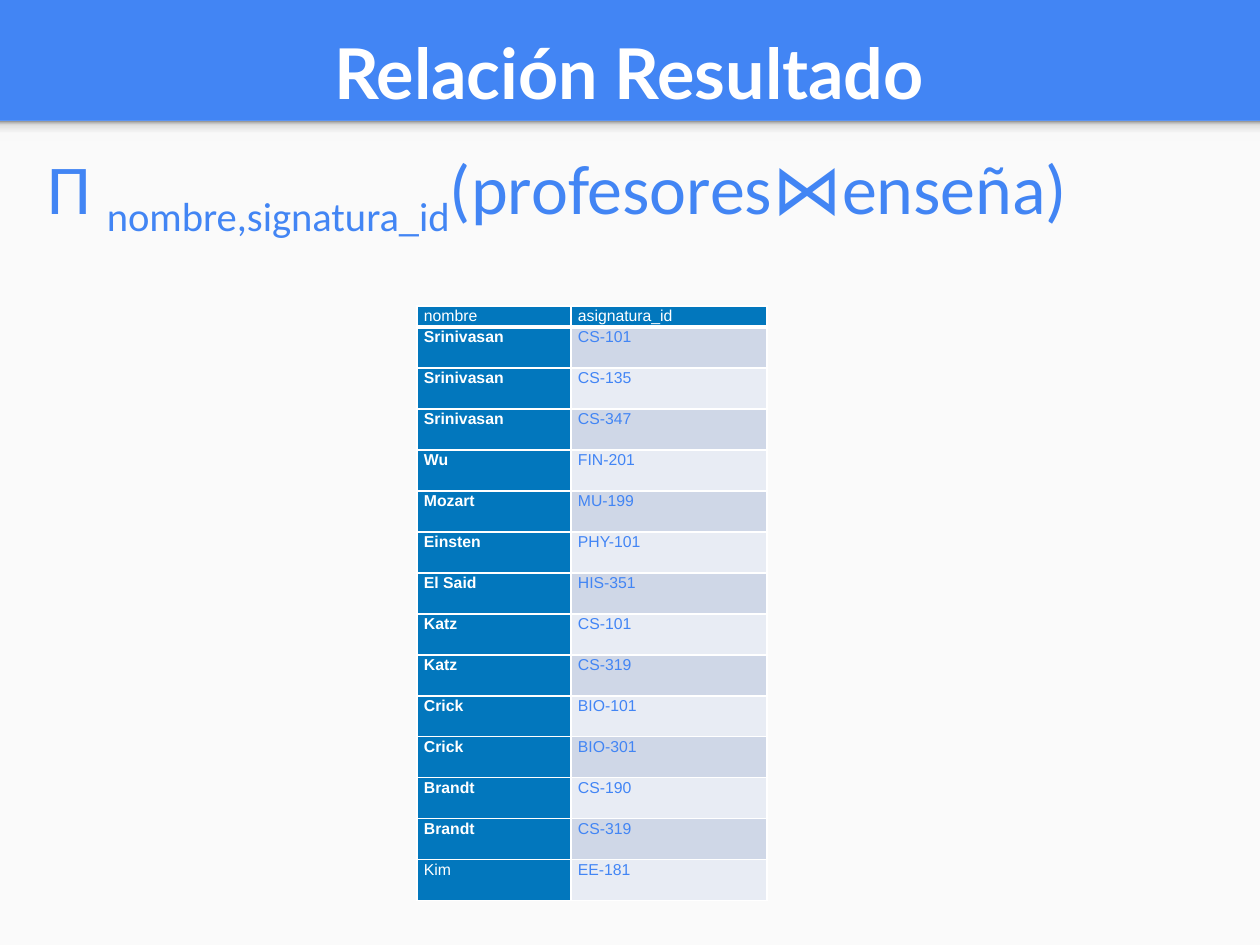
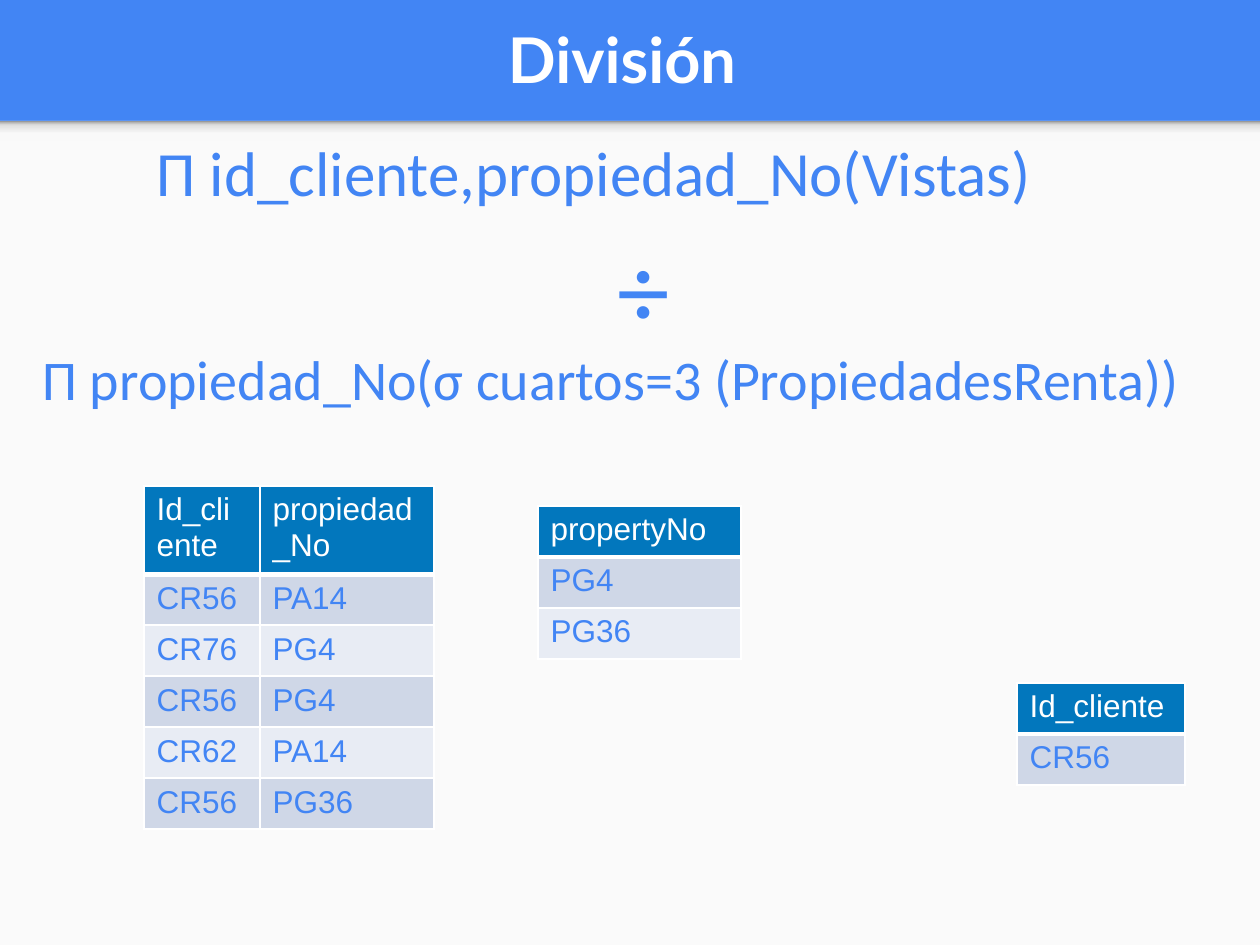
import pptx
import pptx.dml.color
import pptx.enum.shapes
import pptx.enum.text
import pptx.oxml
import pptx.oxml.ns
import pptx.util

PX = 914400 / 126
BLUE, DARK_BLUE, WHITE, PAPER = "4285F4", "0277BD", "FFFFFF", "FAFAFA"
STRIPES = ("CFD7E7", "E8ECF4")
SHADE_STOPS = ((0, "F9F9F9"), (36, "F9F9F9"), (80, "DEDEDE"), (100, "999999"))
DRAWING_NS = pptx.oxml.ns.nsdecls("a")
ANCHOR = pptx.enum.text.MSO_ANCHOR
ALIGN = pptx.enum.text.PP_ALIGN

COURSES = [
    ("nombre", "asignatura_id"),
    ("Srinivasan", "CS-101"),
    ("Srinivasan", "CS-135"),
    ("Srinivasan", "CS-347"),
    ("Wu", "FIN-201"),
    ("Mozart", "MU-199"),
    ("Einsten", "PHY-101"),
    ("El Said", "HIS-351"),
    ("Katz", "CS-101"),
    ("Katz", "CS-319"),
    ("Crick", "BIO-101"),
    ("Crick", "BIO-301"),
    ("Brandt", "CS-190"),
    ("Brandt", "CS-319"),
    ("Kim", "EE-181"),
]
VISITS = [
    ("Id_cliente", "propiedad_No"),
    ("CR56", "PA14"),
    ("CR76", "PG4"),
    ("CR56", "PG4"),
    ("CR62", "PA14"),
    ("CR56", "PG36"),
]
PROPERTIES = [("propertyNo",), ("PG4",), ("PG36",)]
CLIENTS = [("Id_cliente",), ("CR56",)]


def color(value):
    return pptx.dml.color.RGBColor.from_string(value)


def px(*lengths):
    return [pptx.util.Emu(round(length * PX)) for length in lengths]


class Deck:
    """Slides that share a blue title band, a pale body and blue tables."""

    def __init__(self):
        self.presentation = pptx.Presentation()
        self.presentation.slide_width, self.presentation.slide_height = px(1260, 945)
        self.slide = None

    def add_slide(self, title, left, top, size, anchor):
        self.slide = self.presentation.slides.add_slide(self.presentation.slide_layouts[6])
        background = self.slide.background.fill
        background.solid()
        background.fore_color.rgb = color(BLUE)
        body = self.rectangle(0, 121, 1260, 824)
        body.fill.solid()
        body.fill.fore_color.rgb = color(PAPER)
        self.shade(self.rectangle(0, 121, 1260, 20))
        heading = self.text([(title, 0)], left, top, 1216, 111, size, "Lato", WHITE, True)
        heading.vertical_anchor = anchor
        heading.paragraphs[0].alignment = ALIGN.CENTER

    def rectangle(self, left, top, width, height):
        shape = self.slide.shapes.add_shape(
            pptx.enum.shapes.MSO_SHAPE.RECTANGLE, *px(left, top, width, height))
        shape.shadow.inherit = False
        shape.line.fill.background()
        return shape

    def shade(self, shape):
        shape.fill.gradient()
        shape.fill.gradient_angle = 90
        stops = shape._element.spPr.find(".//" + pptx.oxml.ns.qn("a:gsLst"))
        for stop in list(stops):
            stops.remove(stop)
        for position, value in SHADE_STOPS:
            stops.append(pptx.oxml.parse_xml(
                f'<a:gs {DRAWING_NS} pos="{position * 1000}"><a:srgbClr val="{value}"/></a:gs>'))

    def style(self, paragraph, size, font, value, bold):
        paragraph.font.size = pptx.util.Pt(size)
        paragraph.font.name = font
        paragraph.font.bold = bold
        paragraph.font.color.rgb = color(value)

    def text(self, runs, left, top, width, height, size, font="Calibri", value=BLUE, bold=False):
        box = self.slide.shapes.add_textbox(*px(left, top, width, height))
        frame = box.text_frame
        frame.word_wrap = True
        paragraph = frame.paragraphs[0]
        self.style(paragraph, size, font, value, bold)
        for words, baseline in runs:
            run = paragraph.add_run()
            run.text = words
            if baseline:
                run.font._element.set("baseline", str(baseline * 1000))
        return frame

    def table(self, rows, left, top, widths, heights, size=18, names=False, bold_names=()):
        heights = [heights[0]] + [heights[1]] * (len(rows) - 1)
        frame = self.slide.shapes.add_table(
            len(rows), len(widths), *px(left, top, sum(widths), sum(heights)))
        table = frame.table
        for column, width in zip(table.columns, px(*widths)):
            column.width = width
        for row, height in zip(table.rows, px(*heights)):
            row.height = height
        for i, row in enumerate(rows):
            for j, words in enumerate(row):
                cell = table.cell(i, j)
                dark = i == 0 or (names and j == 0)
                self.fill_cell(cell, words, size, dark, words in bold_names)
                self.border(cell, 3 if i == 1 else 1, 3 if i == 0 else 1)
                if names:
                    cell.margin_left = cell.margin_right = px(7)[0]
                    cell.margin_top = cell.margin_bottom = 0
                    cell.text_frame.paragraphs[0].line_spacing = 1.07
                if not dark or i:
                    cell.fill.fore_color.rgb = color(DARK_BLUE if dark else STRIPES[(i - 1) % 2])

    def fill_cell(self, cell, words, size, dark, bold):
        cell.text = words
        cell.fill.solid()
        cell.fill.fore_color.rgb = color(DARK_BLUE)
        self.style(cell.text_frame.paragraphs[0], size, "Arial", WHITE if dark else BLUE, bold)
        cell.text_frame.paragraphs[0].runs[0].font.bold = bold
        cell.text_frame.paragraphs[0].runs[0].font.color.rgb = color(WHITE if dark else BLUE)

    def border(self, cell, top, bottom):
        properties = cell._tc.get_or_add_tcPr()
        for place, (side, width) in enumerate(zip("LRTB", (1, 1, top, bottom))):
            properties.insert(place, pptx.oxml.parse_xml(
                f'<a:ln{side} {DRAWING_NS} w="{width * 12700}"><a:solidFill>'
                f'<a:srgbClr val="{WHITE}"/></a:solidFill></a:ln{side}>'))


def main():
    deck = Deck()

    deck.add_slide("Relación Resultado", 21, 9, 40, ANCHOR.BOTTOM)
    deck.table(COURSES, 417, 306, (154, 196), (21, 41), 9, True,
               {name for name, _ in COURSES[1:-1]})
    formula = deck.text(
        [("Π ", 0), ("nombre,signatura_id", -25), ("(profesores⋈enseña)", 0)],
        35, 131, 1216, 121, 40)
    formula.margin_top = formula.margin_bottom = px(13)[0]

    deck.add_slide("División", 14, 3, 36, ANCHOR.MIDDLE)
    deck.text([("Π id_cliente,propiedad_No(Vistas)", 0)], 144, 127, 958, 89, 36)
    deck.text([("÷", 0)], 605, 217, 78, 140, 60)
    deck.text([("Π propiedad_No(σ cuartos=3 (PropiedadesRenta))", 0)], 30, 338, 1226, 81, 32)
    deck.table(CLIENTS, 1017, 683, (168,), (51, 51))
    deck.table(VISITS, 144, 486, (116, 174), (84, 51))
    deck.table(PROPERTIES, 538, 506, (203,), (51, 51))

    deck.presentation.save("out.pptx")


if __name__ == "__main__":
    main()
